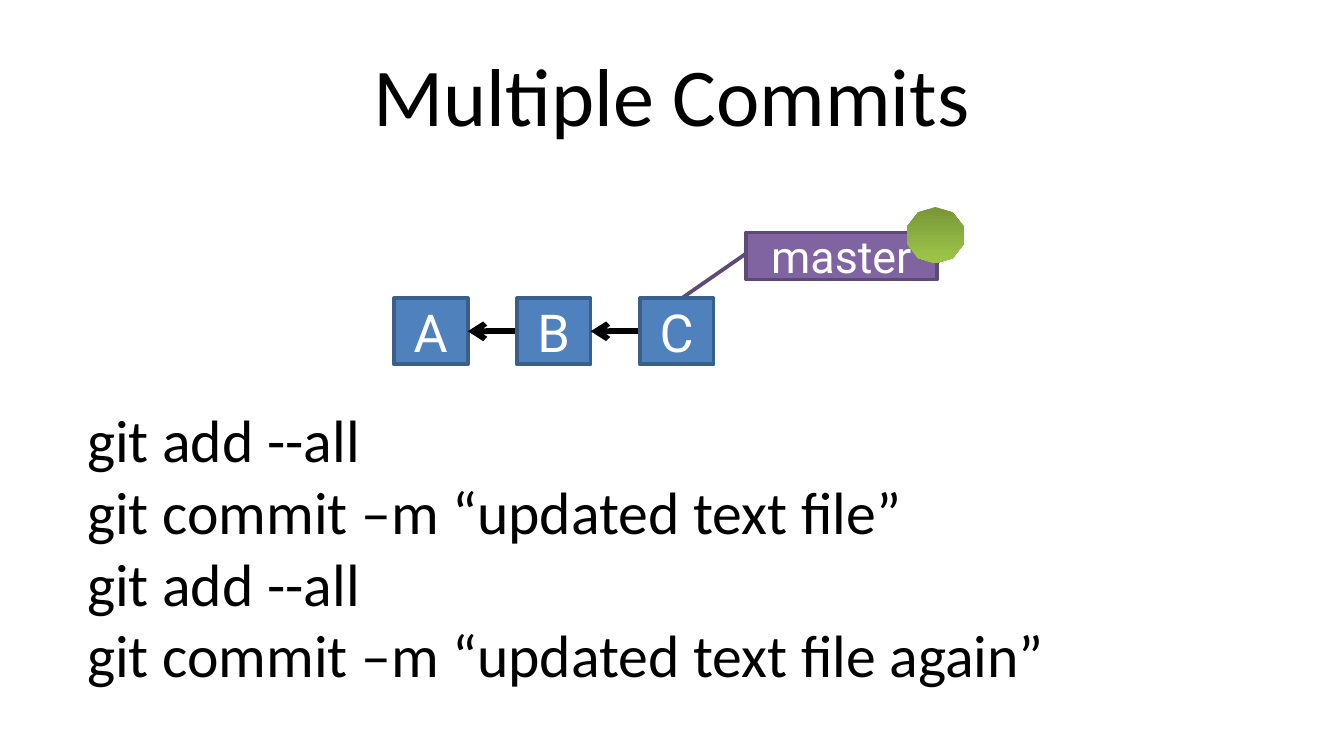
import dataclasses

import lxml.etree
import pptx
import pptx.dml.color
import pptx.enum.shapes
import pptx.enum.text
import pptx.oxml.ns
import pptx.util

Inches = pptx.util.Inches
Shape = pptx.enum.shapes.MSO_SHAPE
Align = pptx.enum.text.PP_ALIGN
Anchor = pptx.enum.text.MSO_ANCHOR


@dataclasses.dataclass(frozen=True)
class Theme:
    """Colours, fonts and type sizes of the slide."""

    black: str = "000000"
    white: str = "FFFFFF"
    commit_fill: str = "4F81BD"
    commit_line: str = "3A5F8B"
    branch_fill: str = "8064A2"
    branch_line: str = "5E4977"
    marker_top: str = "779637"
    marker_bottom: str = "9BC348"
    body_font: str = "Calibri"
    diagram_font: str = "Roboto"
    title_size: int = 44
    body_size: int = 32
    commit_size: int = 28
    branch_size: int = 24
    outline: int = 2
    arrow: int = 3


def rgb(value):
    """Return the colour for a hex string."""
    return pptx.dml.color.RGBColor.from_string(value)


def write_text(shape, text, *, font, size, color, align=Align.LEFT, anchor=Anchor.TOP):
    """Fill a shape with text, one paragraph a line."""
    frame = shape.text_frame
    frame.text = text
    frame.word_wrap = True
    frame.auto_size = pptx.enum.text.MSO_AUTO_SIZE.NONE
    frame.vertical_anchor = anchor
    for paragraph in frame.paragraphs:
        paragraph.alignment = align
        paragraph.font.name = font
        paragraph.font.size = pptx.util.Pt(size)
        paragraph.font.color.rgb = rgb(color)


class SlideBuilder:
    """Draws the elements of one slide in one theme."""

    def __init__(self, presentation, theme):
        """Add a title-only slide."""
        self.theme = theme
        self.slide = presentation.slides.add_slide(presentation.slide_layouts[5])

    def title(self, text, left, top, width, height):
        """Place and format the title placeholder."""
        shape = self.slide.shapes.title
        shape.left, shape.top = Inches(left), Inches(top)
        shape.width, shape.height = Inches(width), Inches(height)
        write_text(shape, text, font=self.theme.body_font, size=self.theme.title_size,
                   color=self.theme.black, align=Align.CENTER, anchor=Anchor.MIDDLE)

    def commands(self, lines, left, top, width, height):
        """Add a text box of command lines."""
        box = self.slide.shapes.add_textbox(
            Inches(left), Inches(top), Inches(width), Inches(height))
        write_text(box, "\n".join(lines), font=self.theme.body_font,
                   size=self.theme.body_size, color=self.theme.black)

    def shape(self, kind, left, top, width, height, adjustments=()):
        """Add a preset shape without shadow."""
        shape = self.slide.shapes.add_shape(
            kind, Inches(left), Inches(top), Inches(width), Inches(height))
        shape.shadow.inherit = False
        for index, value in enumerate(adjustments):
            shape.adjustments[index] = value
        return shape

    def label(self, shape, text, size, fill, line):
        """Colour a diagram shape and write its label."""
        shape.fill.solid()
        shape.fill.fore_color.rgb = rgb(fill)
        shape.line.color.rgb = rgb(line)
        shape.line.width = pptx.util.Pt(self.theme.outline)
        write_text(shape, text, font=self.theme.diagram_font, size=size,
                   color=self.theme.white, align=Align.CENTER, anchor=Anchor.MIDDLE)

    def commit(self, text, left, top, width, height):
        """Add a commit box."""
        self.label(self.shape(Shape.RECTANGLE, left, top, width, height), text,
                   self.theme.commit_size, self.theme.commit_fill, self.theme.commit_line)

    def branch(self, text, left, top, width, height, adjustments):
        """Add a branch callout that points at its commit."""
        callout = self.shape(Shape.LINE_CALLOUT_1, left, top, width, height, adjustments)
        self.label(callout, text, self.theme.branch_size,
                   self.theme.branch_fill, self.theme.branch_line)

    def marker(self, left, top, width, height):
        """Add the gradient marker of the current branch."""
        marker = self.shape(Shape.STAR_5_POINT, left, top, width, height, [0.5])
        marker.fill.gradient()
        marker.fill.gradient_angle = 270
        colors = (self.theme.marker_top, self.theme.marker_bottom)
        for stop, color in zip(marker.fill.gradient_stops, colors):
            stop.color.rgb = rgb(color)
        marker.line.fill.background()

    def arrow(self, start, end, y):
        """Add a horizontal arrow to the parent commit."""
        connector = self.slide.shapes.add_connector(
            pptx.enum.shapes.MSO_CONNECTOR.STRAIGHT,
            Inches(start), Inches(y), Inches(end), Inches(y))
        connector.line.color.rgb = rgb(self.theme.black)
        connector.line.width = pptx.util.Pt(self.theme.arrow)
        qn = pptx.oxml.ns.qn
        lxml.etree.SubElement(connector.line._get_or_add_ln(), qn("a:tailEnd"), type="arrow")
        lxml.etree.SubElement(connector._element.spPr, qn("a:effectLst"))


def main():
    """Build and save the slide."""
    presentation = pptx.Presentation()
    presentation.slide_width = Inches(10)
    presentation.slide_height = Inches(10 * 9 / 16)
    builder = SlideBuilder(presentation, Theme())

    builder.title("Multiple Commits", 0.5, 0.23, 9, 0.94)
    builder.commands([
        "git add --all",
        "git commit –m “updated text file”",
        "git add --all",
        "git commit –m “updated text file again”",
    ], 0.55, 2.95, 9, 1.46)
    builder.branch("master", 5.55, 1.73, 1.42, 0.35, [0.45, 0, 1.38, -0.33])

    first, last, top, width, height = 2.93, 4.76, 2.22, 0.55, 0.49
    pitch = (last - first) / 2
    for index, name in enumerate("ABC"):
        left = first + index * pitch
        if index:
            builder.arrow(left, left - pitch + width, top + height / 2)
        builder.commit(name, left, top, width, height)
    builder.marker(6.75, 1.54, 0.42, 0.38)

    presentation.save("out.pptx")


if __name__ == "__main__":
    main()
